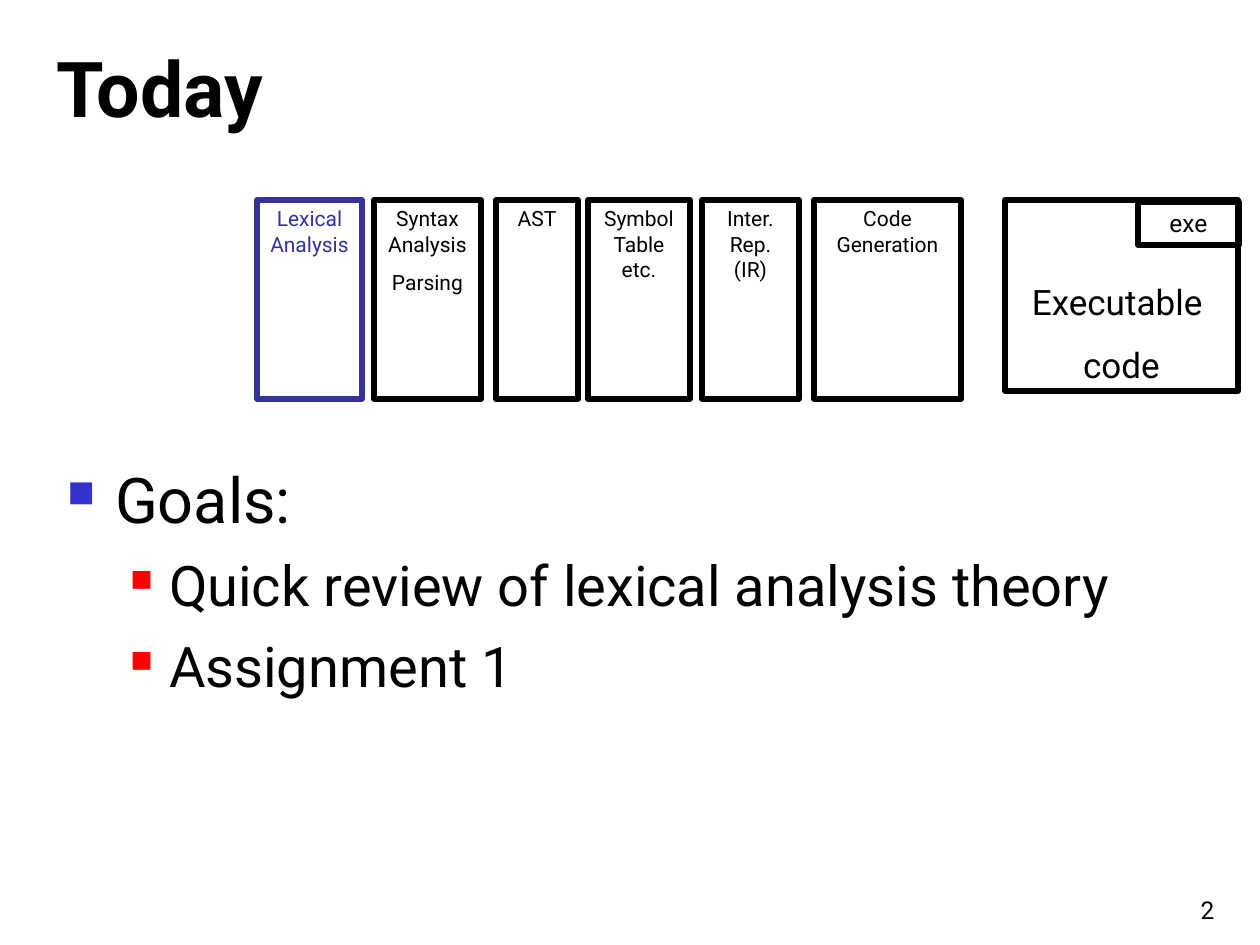
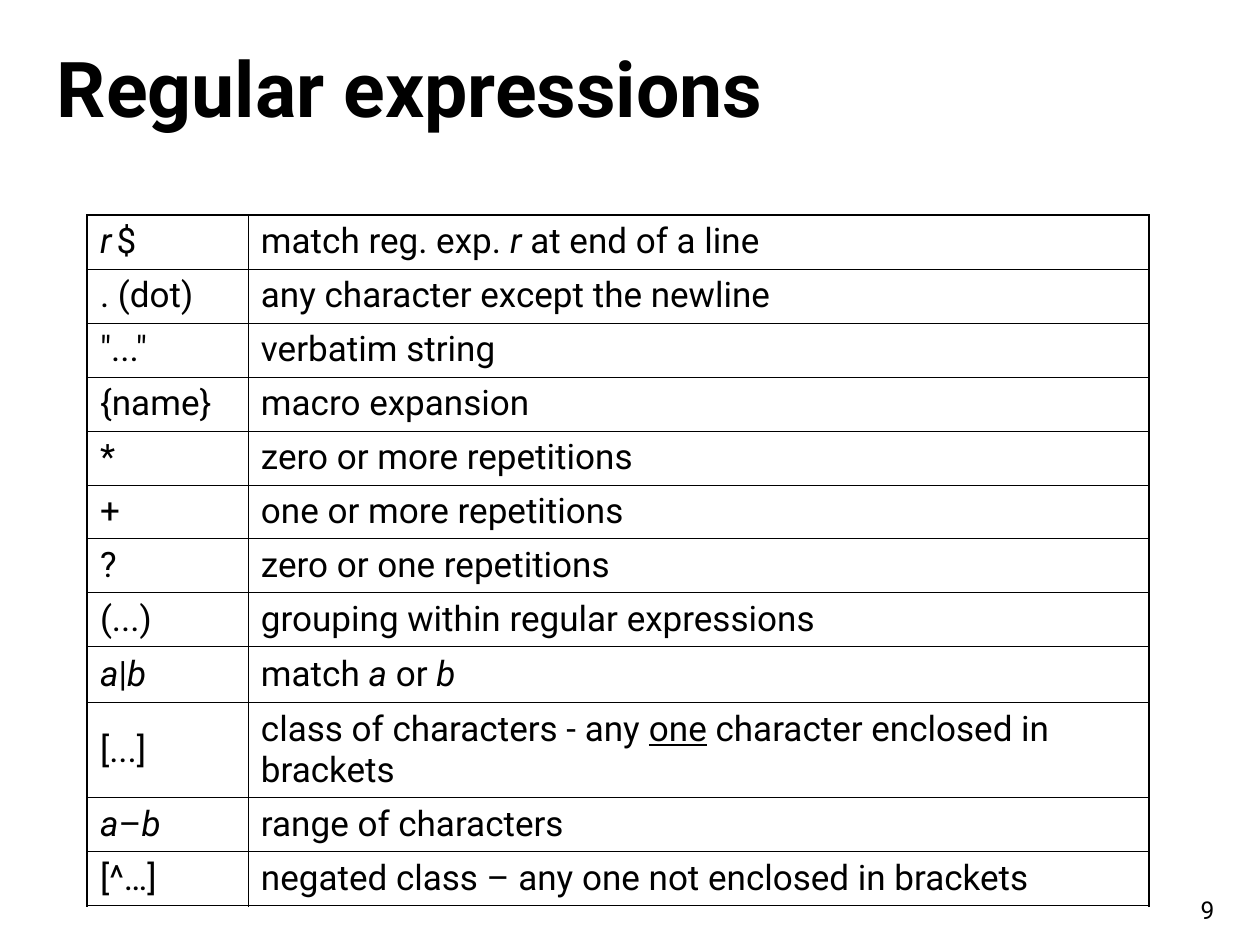
import copy

import pptx
import pptx.dml.color
import pptx.enum.shapes
import pptx.enum.text
import pptx.oxml
import pptx.oxml.ns
import pptx.util

RGB = pptx.dml.color.RGBColor
ALIGN = pptx.enum.text.PP_ALIGN
ANCHOR = pptx.enum.text.MSO_ANCHOR
qn = pptx.oxml.ns.qn

BLACK = RGB(0x00, 0x00, 0x00)
INDIGO = RGB(0x33, 0x33, 0x99)
BLUE = RGB(0x33, 0x33, 0xCC)
RED = RGB(0xFF, 0x00, 0x00)
FONT = "Roboto"
EMU = 914400 / 126
PAD = 13, 6, 13, 6
TOP = 200

# Phases of the compiler: left, width, paragraphs, colour
PHASES = [
    (257, 105, ["Lexical\nAnalysis"], INDIGO),
    (374, 107, ["Syntax Analysis", "Parsing"], BLACK),
    (496, 82, ["AST"], BLACK),
    (588, 102, ["Symbol\nTable\netc."], BLACK),
    (702, 97, ["Inter.\nRep.\n(IR)"], BLACK),
    (814, 147, ["Code\nGeneration"], BLACK),
]

# Goals: text, size, space before, indent, hanging, bullet colour and percent
GOALS = [
    ("Goals:", 36, 9, 48, 48, BLUE, 60),
    ("Quick review of lexical analysis theory", 32, 8, 102, 39, RED, 55),
    ("Assignment 1", 32, 8, 102, 39, RED, 55),
]

# Table rows; a pair is a piece of text with its style
A, B, R = ("a", "italic"), ("b", "italic"), ("r", "italic")
RULES = [
    ([R, (" ", "small"), "$"],
     ["match reg. exp. ", R, " at end of a line"]),
    ([". (dot)"], ["any character except the newline"]),
    (['"..."'], ["verbatim string"]),
    (["{name}"], ["macro expansion"]),
    (["*"], ["zero or more repetitions"]),
    (["+"], ["one or more repetitions"]),
    (["?"], ["zero or one repetitions"]),
    (["(...)"], ["grouping within regular expressions"]),
    ([A, "|", B], ["match ", A, " or ", B]),
    (["[...]"], ["class of characters - any ", ("one", "under"),
                 " character enclosed in brackets"]),
    ([A, "–", B], ["range of characters"]),
    (["[^…]"], ["negated class – any one not enclosed in brackets"]),
]
COLS = 161, 901
ROW = 54
TALL = {8: 56, 9: 95}


def px(n):
    return pptx.util.Emu(round(n * EMU))


def style(para, size, color=BLACK, bold=False, align=ALIGN.LEFT, before=0):
    """Format a paragraph, its runs and its line breaks."""
    para.alignment = align
    para.space_before = pptx.util.Pt(before)
    for run in para.runs:
        font = run.font
        font.name, font.size, font.bold = FONT, pptx.util.Pt(size), bold
        font.color.rgb = color
    for br in para._p.findall(qn("a:br")):
        br.append(copy.deepcopy(para.runs[0]._r.rPr))


def fill(frame, lines, size, pad=PAD, anchor=ANCHOR.TOP, **look):
    """Write one paragraph per line into a text frame."""
    frame.word_wrap = True
    frame.auto_size = pptx.enum.text.MSO_AUTO_SIZE.NONE
    frame.vertical_anchor = anchor
    (frame.margin_left, frame.margin_top,
     frame.margin_right, frame.margin_bottom) = map(px, pad)
    for i, line in enumerate(lines):
        para = frame.add_paragraph() if i else frame.paragraphs[0]
        para.text = line
        style(para, size, **look)


def start(deck, title, number):
    """Add a slide with its title and page number."""
    slide = deck.slides.add_slide(deck.slide_layouts[5])
    head = slide.shapes.title
    head.left, head.top, head.width, head.height = map(px, (44, 26, 1176, 113))
    fill(head.text_frame, [title], 44, anchor=ANCHOR.BOTTOM, bold=True)
    page = slide.shapes.add_textbox(*map(px, (1155, 900, 105, 30)))
    fill(page.text_frame, [number], 14, anchor=ANCHOR.BOTTOM,
         align=ALIGN.CENTER)
    return slide


def box(slide, at, lines, size, color=BLACK, pad=PAD):
    """Add an outlined box with centred text."""
    shape = slide.shapes.add_shape(
        pptx.enum.shapes.MSO_SHAPE.RECTANGLE, *map(px, at))
    shape.shadow.inherit = False
    shape.fill.background()
    shape.line.color.rgb = color
    shape.line.width = pptx.util.Pt(3)
    fill(shape.text_frame, lines, size, pad, color=color,
         align=ALIGN.CENTER, before=size * 0.625)


def bullet(para, indent, hang, color, scale):
    """Give a paragraph a square bullet."""
    props = para._p.get_or_add_pPr()
    props.set("marL", str(px(indent)))
    props.set("indent", str(-px(hang)))
    for tag, key, value in (("buSzPct", "val", f"{scale * 1000}"),
                            ("buChar", "char", "■")):
        part = props.makeelement(qn(f"a:{tag}"), {key: value})
        props.append(part)
    tint = pptx.oxml.parse_xml(
        f'<a:buClr {pptx.oxml.ns.nsdecls("a")}>'
        f'<a:srgbClr val="{color}"/></a:buClr>')
    props.find(qn("a:buSzPct")).addprevious(tint)


def goals(slide):
    """Add the bulleted list of goals."""
    area = slide.shapes.add_textbox(*map(px, (54, 455, 1152, 459)))
    frame = area.text_frame
    fill(frame, [goal[0] for goal in GOALS], 32)
    for para, (_, size, before, *mark) in zip(frame.paragraphs, GOALS):
        style(para, size, before=before)
        bullet(para, *mark)


def border(cell, outer):
    """Draw the cell borders, thicker on the outer sides."""
    props = cell._tc.get_or_add_tcPr()
    for side in "LRTB":
        width = pptx.util.Pt(1.08 if side in outer else 0.45)
        props.append(pptx.oxml.parse_xml(
            f'<a:ln{side} {pptx.oxml.ns.nsdecls("a")} w="{width}">'
            f'<a:solidFill><a:srgbClr val="{BLACK}"/></a:solidFill>'
            f'</a:ln{side}>'))


def write(cell, parts):
    """Write the styled pieces of one table cell."""
    cell.vertical_anchor = ANCHOR.MIDDLE
    cell.margin_left = px(13)
    cell.margin_right = cell.margin_top = cell.margin_bottom = px(6)
    para = cell.text_frame.paragraphs[0]
    pairs = [(p, "") if isinstance(p, str) else p for p in parts]
    for text, _ in pairs:
        para.add_run().text = text
    style(para, 20, before=5)
    for run, (_, kind) in zip(para.runs, pairs):
        run.font.italic = kind == "italic"
        run.font.underline = kind == "under"
        if kind == "small":
            run.font.size = pptx.util.Pt(12)


def grid(slide):
    """Add the table of regular expressions."""
    highs = [TALL.get(i, ROW) for i in range(len(RULES))]
    at = 87, 215, sum(COLS), sum(highs)
    table = slide.shapes.add_table(
        len(RULES), len(COLS), *map(px, at)).table
    table.first_row = table.horz_banding = False
    for col, width in zip(table.columns, COLS):
        col.width = px(width)
    for i, rule in enumerate(RULES):
        table.rows[i].height = px(highs[i])
        edge = {0: "T", len(RULES) - 1: "B"}.get(i, "")
        for j, parts in enumerate(rule):
            cell = table.cell(i, j)
            write(cell, parts)
            border(cell, edge + "LR"[j])
            cell.fill.background()


def main():
    deck = pptx.Presentation()
    deck.slide_width, deck.slide_height = px(1260), px(945)

    # Compiler phases and goals
    today = start(deck, "Today", "2")
    box(today, (1005, TOP, 233, 191), ["Executable ", "code"], 20,
        pad=(13, 80, 13, 6))
    box(today, (1138, 202, 101, 43), ["exe"], 14)
    for left, width, lines, color in PHASES:
        box(today, (left, TOP, width, 199), lines, 12, color)
    goals(today)

    # Table of notation
    grid(start(deck, "Regular expressions", "9"))
    deck.save("out.pptx")


if __name__ == "__main__":
    main()
